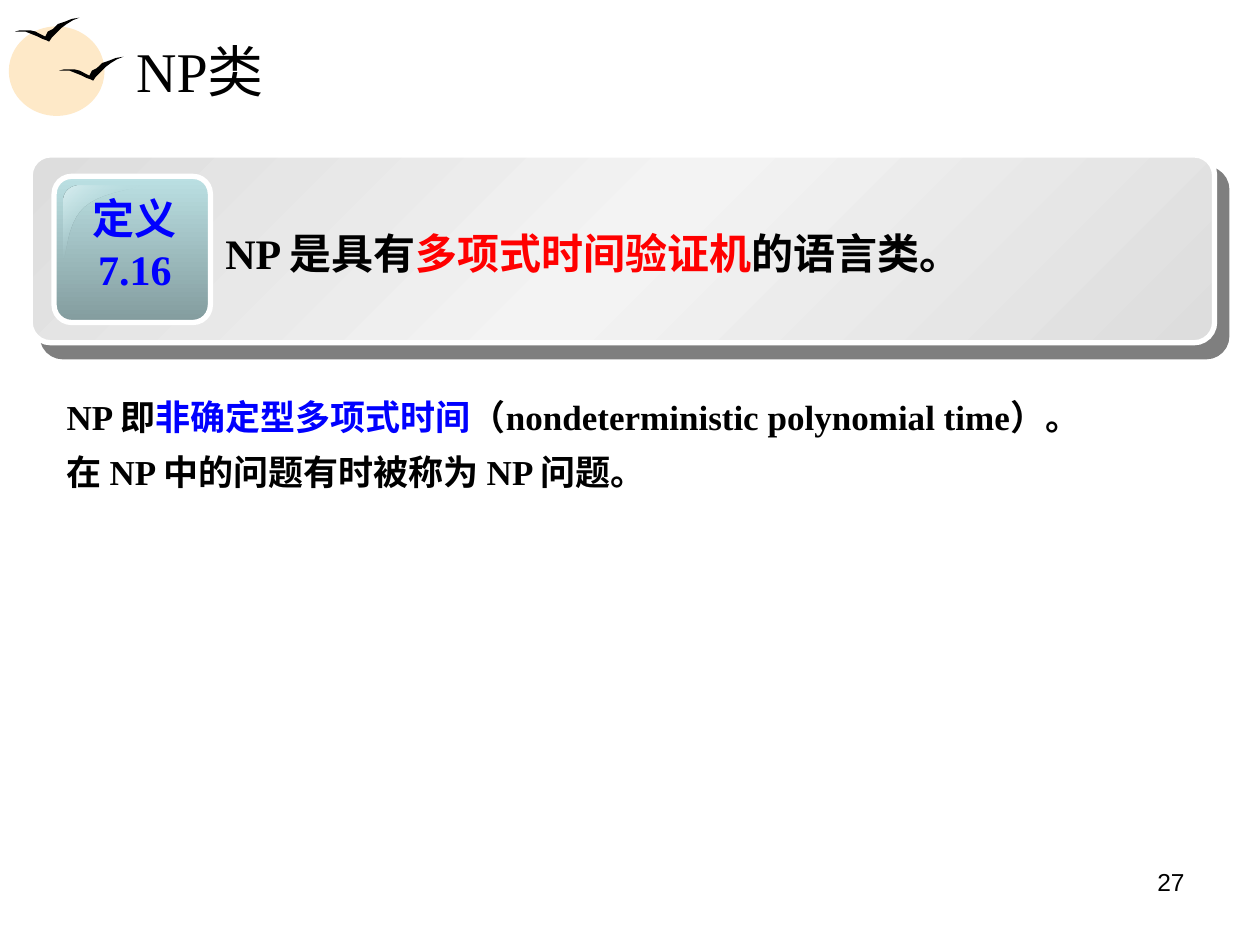
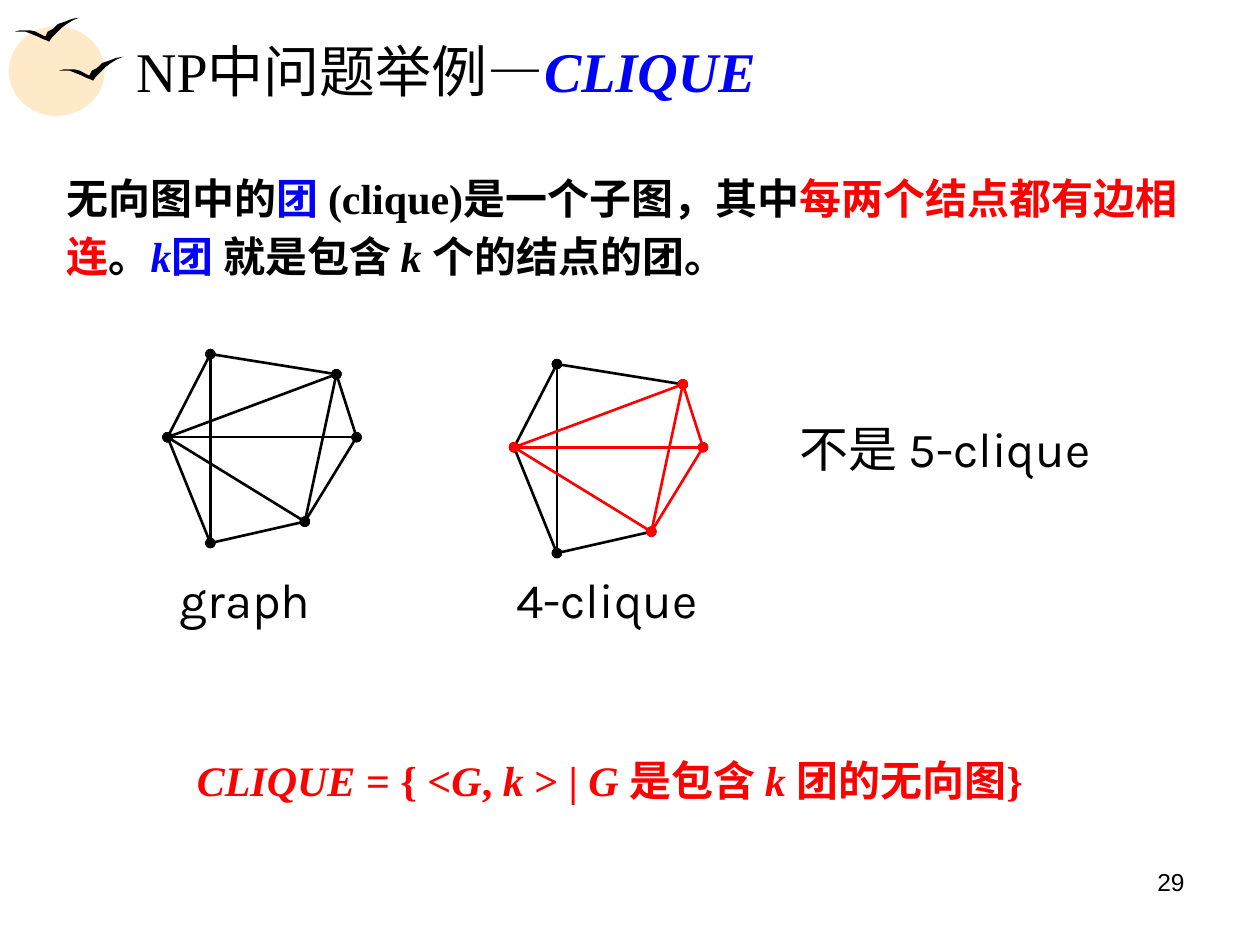
from dataclasses import dataclass
from typing import Any, NamedTuple, Optional

import pptx
import pptx.dml.color
import pptx.enum.shapes
import pptx.enum.text
import pptx.oxml
import pptx.oxml.ns
import pptx.util
from pptx.util import Inches

ALIGN = pptx.enum.text.PP_ALIGN
ANCHOR = pptx.enum.text.MSO_ANCHOR
SHAPE = pptx.enum.shapes.MSO_SHAPE
NS = pptx.oxml.ns.nsdecls("a")


@dataclass(frozen=True)
class Theme:
    black: str = "000000"
    white: str = "FFFFFF"
    blue: str = "0000FF"
    red: str = "FF0000"
    sun: str = "FEE9C8"
    card: tuple = ((0, "DDDDDD", 100), (50, "F3F3F3", 100), (100, "DDDDDD", 100))
    badge: tuple = ((0, "BBE0E3", 100), (100, "839C9E", 100))
    gloss: tuple = ((0, "DAEEF0", 100), (50, "BBE0E3", 0), (100, "DAEEF0", 100))
    serif: str = "Times New Roman"
    sans: str = "Arial"
    label_font: str = "Karla"
    title: float = 32
    label: float = 28
    lead: float = 24
    body: float = 20
    number: float = 14


T = Theme()


class Box(NamedTuple):
    x: float
    y: float
    w: float
    h: float

    def emu(self) -> list:
        return [Inches(v) for v in self]


class Run(NamedTuple):
    text: str
    color: str = T.black
    italic: bool = False
    bold: Optional[bool] = None


@dataclass(frozen=True)
class Style:
    size: float
    font: str = T.serif
    bold: bool = False
    align: Any = ALIGN.LEFT
    line: Optional[float] = None
    gap: float = 0


@dataclass(frozen=True)
class Label:
    box: Box
    text: str


TITLE = Style(T.title)
NUMBER = Style(T.number, T.sans, align=ALIGN.RIGHT)
LEAD = Style(T.lead, bold=True, line=1.15)
FORMULA = Style(T.lead, bold=True, align=ALIGN.CENTER, line=1.15)
BADGE = Style(T.lead, bold=True, align=ALIGN.CENTER)
BODY = Style(T.body, bold=True, line=1.15, gap=3.7)
LABEL = Style(T.label, T.label_font)

# Wing outline, measured from the bird's top left corner
BIRD = [
    (0, .11), (.04, .10), (.09, .10), (.12, .10), (.16, .11), (.20, .13),
    (.24, .15), (.26, .11), (.30, .09), (.34, .05), (.40, .03), (.45, .01),
    (.51, 0), (.46, .02), (.41, .05), (.37, .08), (.33, .12), (.29, .16),
    (.27, .19), (.25, .18), (.22, .17), (.18, .15), (.13, .13), (.08, .11),
    (.03, .11),
]

# Graph nodes, measured from the graph's top left corner
NODES = {
    "top": (.34, 0), "left": (0, .66), "bottom": (.34, 1.5),
    "low": (1.09, 1.33), "right": (1.5, .66), "high": (1.34, .16),
}
EDGES = [
    ("top", "left"), ("bottom", "top"), ("low", "bottom"), ("top", "high"),
    ("left", "bottom"), ("left", "right"), ("low", "left"), ("right", "low"),
    ("high", "left"), ("low", "high"), ("right", "high"),
]
CLIQUE = {"left", "low", "right", "high"}


def rgb(color: str) -> pptx.dml.color.RGBColor:
    return pptx.dml.color.RGBColor.from_string(color)


# Text
def write(tf, paragraphs: list, style: Style) -> None:
    tf.word_wrap = True
    for i, runs in enumerate(paragraphs):
        p = tf.paragraphs[0] if i == 0 else tf.add_paragraph()
        p.alignment = style.align
        p.line_spacing = style.line
        p.space_before = pptx.util.Pt(style.gap if i else 0)
        p.font.name = style.font
        p.font.size = pptx.util.Pt(style.size)
        p.font.bold = style.bold
        for run in runs:
            r = p.add_run()
            r.text = run.text
            r.font.color.rgb = rgb(run.color)
            r.font.italic = run.italic
            if run.bold is not None:
                r.font.bold = run.bold


def add_text(slide, box: Box, paragraphs: list, style: Style) -> None:
    write(slide.shapes.add_textbox(*box.emu()).text_frame, paragraphs, style)


# Shapes
def paint(sp, color: str) -> None:
    sp.shadow.inherit = False
    sp.fill.solid()
    sp.fill.fore_color.rgb = rgb(color)
    sp.line.fill.background()


def paint_gradient(sp, stops: tuple, angle: int) -> None:
    sp.shadow.inherit = False
    sp.fill.gradient()
    gs = "".join(
        f'<a:gs pos="{pos * 1000}"><a:srgbClr val="{color}">'
        f'<a:alpha val="{alpha * 1000}"/></a:srgbClr></a:gs>'
        for pos, color, alpha in stops)
    old = sp._element.spPr.find(pptx.oxml.ns.qn("a:gradFill"))
    old.getparent().replace(old, pptx.oxml.parse_xml(
        f'<a:gradFill {NS} rotWithShape="1"><a:gsLst>{gs}</a:gsLst>'
        f'<a:lin ang="{angle * 60000}" scaled="0"/></a:gradFill>'))
    sp.line.fill.background()


def add_outline(slide, points: list) -> Any:
    start, *rest = [(Inches(x), Inches(y)) for x, y in points]
    fb = slide.shapes.build_freeform(*start)
    fb.add_line_segments(rest, close=True)
    return fb.convert_to_shape()


def add_panel(slide, box: Box, radius: float, stops: tuple, angle: int) -> Any:
    sp = slide.shapes.add_shape(SHAPE.ROUNDED_RECTANGLE, *box.emu())
    sp.adjustments[0] = radius
    paint_gradient(sp, stops, angle)
    sp.line.color.rgb = rgb(T.white)
    sp.line.width = pptx.util.Pt(3)
    return sp


def add_shadow(sp, distance: float, angle: int) -> None:
    effects = sp._element.spPr.find(pptx.oxml.ns.qn("a:effectLst"))
    effects.append(pptx.oxml.parse_xml(
        f'<a:outerShdw {NS} dist="{pptx.util.Pt(distance)}" dir="{angle * 60000}" '
        f'algn="ctr" rotWithShape="0"><a:srgbClr val="{T.black}">'
        f'<a:alpha val="50000"/></a:srgbClr></a:outerShdw>'))


def curve(a: tuple, b: tuple, c: tuple, d: tuple, steps: int = 12) -> list:
    """Points on a cubic curve, leaving out its start."""
    points = []
    for i in range(1, steps + 1):
        t = i / steps
        u = 1 - t
        weights = (u ** 3, 3 * u * u * t, 3 * u * t * t, t ** 3)
        points.append(tuple(
            sum(w * q[axis] for w, q in zip(weights, (a, b, c, d)))
            for axis in (0, 1)))
    return points


def add_edge(slide, start: tuple, end: tuple, color: str) -> None:
    cx = slide.shapes.add_connector(
        pptx.enum.shapes.MSO_CONNECTOR.STRAIGHT,
        *[Inches(v) for v in (*start, *end)])
    cx.line.color.rgb = rgb(color)
    cx.line.width = pptx.util.Pt(1.5)
    ln = cx.line._get_or_add_ln()
    for tag in ("headEnd", "tailEnd"):
        ln.append(pptx.oxml.parse_xml(f'<a:{tag} {NS} type="oval"/>'))
    cx._element.spPr.append(pptx.oxml.parse_xml(f"<a:effectLst {NS}/>"))


def add_graph(slide, x: float, y: float, marked: set) -> None:
    at = {name: (x + dx, y + dy) for name, (dx, dy) in NODES.items()}
    # Marked edges come last so that their nodes lie on top
    for edge in sorted(EDGES, key=marked.issuperset):
        color = T.red if marked.issuperset(edge) else T.black
        add_edge(slide, at[edge[0]], at[edge[1]], color)


# Shared frame: sun and birds, title, slide number
def new_slide(prs, title: list, number: int) -> Any:
    slide = prs.slides.add_slide(prs.slide_layouts.get_by_name("Title Only"))
    paint(slide.shapes.add_shape(SHAPE.OVAL, *Box(.07, .21, .76, .71).emu()), T.sun)
    for x, y in ((.47, .45), (.12, .14)):
        paint(add_outline(slide, [(x + dx, y + dy) for dx, dy in BIRD]), T.black)
    sp = slide.shapes.title
    sp.left, sp.top, sp.width, sp.height = Box(.98, .21, 8.53, .69).emu()
    sp.text_frame.vertical_anchor = ANCHOR.MIDDLE
    write(sp.text_frame, [title], TITLE)
    add_text(slide, Box(7.17, 6.83, 2.33, .52), [[Run(str(number))]], NUMBER)
    return slide


def build_np_class(prs) -> None:
    slide = new_slide(prs, [Run("NP类")], 27)
    # Definition card with its badge
    card = add_panel(slide, Box(.24, 1.23, 9.4, 1.49), .109, T.card, 45)
    add_shadow(card, 10.6, 49)
    add_panel(slide, Box(.43, 1.4, 1.24, 1.16), .119, T.badge, 90)
    gloss = [
        (.63, 1.47),
        *curve((.63, 1.47), (.56, 1.47), (.5, 1.52), (.5, 1.59)),
        (.5, 2.05),
        *curve((.5, 2.05), (.53, 2.05), (.52, 1.77), (.67, 1.64)),
        *curve((.67, 1.64), (.82, 1.51), (1.12, 1.5), (1.11, 1.47)),
    ]
    paint_gradient(add_outline(slide, gloss), T.gloss, 45)
    add_text(slide, Box(.6, 1.48, .94, .9),
             [[Run("定义", T.blue)], [Run("7.16", T.blue)]], BADGE)
    add_text(slide, Box(1.69, 1.7, 7.56, .56), [[
        Run("NP 是具有"), Run("多项式时间验证机", T.red), Run("的语言类。")]], LEAD)
    # Explanation
    add_text(slide, Box(.43, 3.04, 8.98, .92), [
        [Run("NP 即"), Run("非确定型多项式时间", T.blue),
         Run("（nondeterministic polynomial time）。")],
        [Run("在 NP 中的问题有时被称为 NP 问题。")]], BODY)


def build_clique(prs) -> None:
    slide = new_slide(prs, [
        Run("NP中问题举例—"), Run("CLIQUE", T.blue, True, True)], 29)
    # Definition
    add_text(slide, Box(.43, 1.26, 9.14, 1.02), [[
        Run("无向图中的"), Run("团 ", T.blue), Run("(clique)是一个子图，其中"),
        Run("每两个结点都有边相连", T.red), Run("。"), Run("k", T.blue, True),
        Run("团 ", T.blue), Run("就是包含 "), Run("k ", italic=True),
        Run("个的结点的团。")]], LEAD)
    # Graphs and their labels
    add_graph(slide, 1.33, 2.81, set())
    add_graph(slide, 4.08, 2.89, CLIQUE)
    for label in (Label(Box(1.33, 4.47, 1.33, .57), "graph"),
                  Label(Box(4, 4.47, 2.25, .57), "4-clique"),
                  Label(Box(6.25, 3.27, 2.92, .57), "不是 5-clique")):
        add_text(slide, label.box, [[Run(label.text)]], LABEL)
    # Language in set notation: italic and upright parts alternate
    parts = ("CLIQUE ", "= { <", "G", ", ", "k ", "> | ", "G ", "是包含 ",
             "k ", "团的无向图}")
    add_text(slide, Box(.27, 5.88, 9.14, .56), [[
        Run(part, T.red, i % 2 == 0) for i, part in enumerate(parts)]], FORMULA)


def main() -> None:
    prs = pptx.Presentation()
    prs.slide_width, prs.slide_height = Inches(10), Inches(7.5)
    build_np_class(prs)
    build_clique(prs)
    prs.save("out.pptx")


if __name__ == "__main__":
    main()
